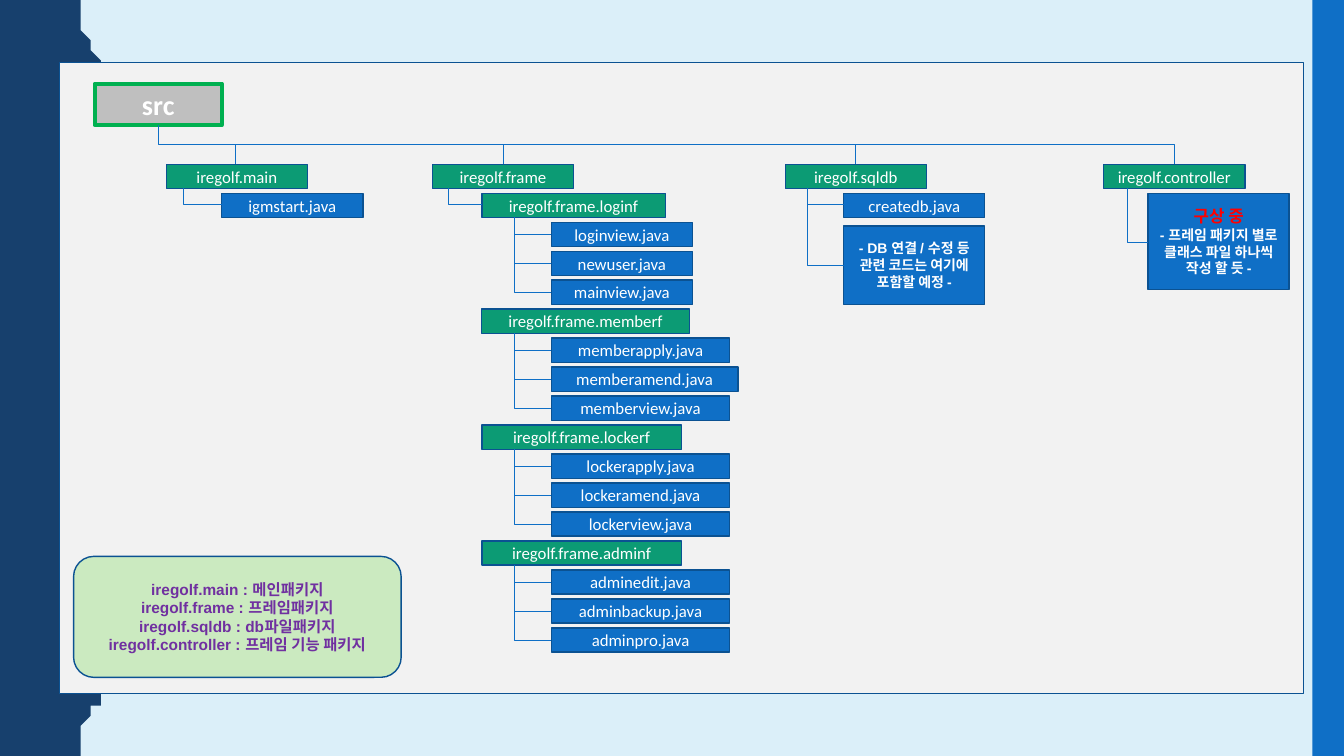
from lxml.etree import SubElement
from pptx import Presentation
from pptx.dml.color import RGBColor as Rgb
from pptx.enum.shapes import MSO_CONNECTOR as Link, MSO_SHAPE as Form
from pptx.enum.text import MSO_ANCHOR as Anchor, PP_ALIGN as Align
from pptx.oxml.ns import qn
from pptx.util import Inches, Pt

INK = {
    "sky": "DBEFF9", "navy": "17406D", "blue": "0F6FC6", "edge": "0B5292",
    "panel": "F2F2F2", "green": "0C9B74", "grey": "BFBFBF", "lime": "00B050",
    "mint": "CBEAC0", "plum": "7030A0", "red": "FF0000", "white": "FFFFFF",
}
COLS, ROWS = 133.33, 75
CELL = Inches(0.1)
TOP, STEP, HIGH = 16.3, 46 / 16, 2.4


def ink(name):
    return Rgb.from_string(INK[name])


def grid(*cells):
    return [round(n * CELL) for n in cells]


def level(row):
    return TOP + row * STEP


class Board:
    def __init__(self, deck):
        self.slide = deck.slides.add_slide(deck.slide_layouts[6])
        self.shapes = self.slide.shapes
        back = self.slide.background.fill
        back.solid()
        back.fore_color.rgb = ink("sky")

    def paint(self, shape, fill, edge, width=1):
        shape.shadow.inherit = False
        shape.fill.solid()
        shape.fill.fore_color.rgb = ink(fill)
        if edge:
            shape.line.color.rgb = ink(edge)
            shape.line.width = Pt(width)
        else:
            shape.line.fill.background()

    def box(self, area, fill, edge="edge", width=1, form=Form.RECTANGLE):
        shape = self.shapes.add_shape(form, *grid(*area))
        self.paint(shape, fill, edge, width)
        return shape

    def label(self, shape, lines, size, color="white", bold=True, font="Arial"):
        frame = shape.text_frame
        frame.word_wrap = True
        frame.vertical_anchor = Anchor.MIDDLE
        for i, text in enumerate(lines):
            para = frame.add_paragraph() if i else frame.paragraphs[0]
            para.text = text
            para.alignment = Align.CENTER
            self.style(para, size, color, bold, font)

    def style(self, para, size, color, bold, font):
        para.font.size = Pt(size)
        para.font.bold = bold
        para.font.name = font
        para.font.color.rgb = ink(color)

    def node(self, text, left, row, wide=14, fill="blue"):
        shape = self.box((left, level(row), wide, HIGH), fill)
        self.label(shape, [text], 12, bold=False, font="Calibri")

    def line(self, x, y, to_x, to_y, kind=Link.STRAIGHT):
        wire = self.shapes.add_connector(kind, *grid(x, y, to_x, to_y))
        wire.line.color.rgb = ink("blue")
        wire.line.width = Pt(0.5)
        SubElement(wire.element.spPr, qn("a:effectLst"))
        return wire

    def elbow(self, x, y, to_x, to_y, bends=1):
        mid_x, mid_y = (x + to_x) / 2, (y + to_y) / 2
        half_x, half_y = (to_x - x) / 2, (to_y - y) / 2
        wire = self.line(mid_x + half_y, mid_y - half_x,
                         mid_x - half_y, mid_y + half_x, Link.ELBOW)
        form = wire.element.spPr
        form.find(qn("a:xfrm")).set("rot", "16200000")
        form.find(qn("a:prstGeom")).set("prst", f"bentConnector{bends + 1}")

    def wave(self, fill):
        rise = [(7.8, 0), (7.8, 0.7), (7.9, 1.4), (8, 2), (8.1, 2.5),
                (8.3, 2.9), (8.5, 3.3), (8.7, 3.8), (8.9, 4.2), (9.1, 4.6),
                (9.3, 5), (9.5, 5.5), (9.6, 6.1), (9.7, 6.8), (9.7, 7.5)]
        turn = rise + [(x, 15 - y) for x, y in rise[-2::-1]]
        edge = [(x, y + 15 * n) for n in range(5) for x, y in turn]
        pen = self.shapes.build_freeform(0, 0, scale=CELL)
        pen.add_line_segments(edge + [(0, ROWS)], close=True)
        self.paint(pen.convert_to_shape(), fill, None)

    def pack(self, name, row, wide, files):
        self.node(name, 47.8, row, wide, "green")
        for n, (text, span) in enumerate(files, 1):
            self.node(text, 54.7, row + n, span)
            y = level(row + n) + HIGH / 2
            if n < len(files):
                self.line(54.7, y, 51, y)
        self.elbow(51, level(row) + HIGH, 54.7, y)


def main():
    deck = Presentation()
    deck.slide_width, deck.slide_height = grid(COLS, ROWS)
    board = Board(deck)
    board.wave("navy")
    board.box((130.2, 0, 3.13, ROWS), "blue", None)
    board.box((5.9, 6.2, 123.4, 62.6), "panel")

    root = board.box((9.4, 8.3, 12.6, 4.1), "grey", "lime", 3)
    board.label(root, ["src"], 20, font="Calibri")
    board.elbow(15.7, 12.4, 116.5, TOP, 2)
    for x in (23.4, 49.9, 84.9):
        board.line(x, TOP, x, 14.35)

    for name, left in (("main", 16.5), ("frame", 42.9),
                       ("sqldb", 77.9), ("controller", 109.5)):
        board.node(f"iregolf.{name}", left, 0, fill="green")
    board.node("igmstart.java", 22, 1)
    board.node("createdb.java", 83.7, 1)

    packs = [
        ("loginf", 18.2, [("loginview", 14), ("newuser", 14), ("mainview", 14)]),
        ("memberf", 20.6, [("memberapply", 17.7), ("memberamend", 18.5),
                           ("memberview", 17.7)]),
        ("lockerf", 19.8, [("lockerapply", 17.7), ("lockeramend", 17.7),
                           ("lockerview", 17.7)]),
        ("adminf", 19.8, [("adminedit", 17.7), ("adminbackup", 17.7),
                          ("adminpro", 17.7)]),
    ]
    for n, (name, wide, files) in enumerate(packs):
        board.pack(f"iregolf.frame.{name}", 1 + 4 * n, wide,
                   [(f"{file}.java", span) for file, span in files])

    plan = board.box((83.7, 22.4, 14, 7.8), "blue")
    board.label(plan, ["- DB 연결 / 수정 등 관련 코드는 여기에 포함할 예정 -"], 10)
    idea = board.box((113.9, 19.2, 14, 9.5), "blue")
    board.label(idea, ["구상 중", "- 프레임 패키지 별로 클래스 파일 하나씩 작성 할 듯 -"], 10)
    board.style(idea.text_frame.paragraphs[0], 12, "red", True, "Arial")

    for x, to_x, y in ((18.2, 22, 20.3), (44.5, 47.8, 20.3),
                       (80.1, 83.7, 26.3), (111.8, 113.9, 24)):
        board.elbow(x, TOP + HIGH, to_x, y)
    board.line(83.7, 20.3, 80.1, 20.3)

    key = board.box((7.3, 55.2, 32.5, 12), "mint", form=Form.ROUNDED_RECTANGLE)
    board.label(key, ["iregolf.main : 메인패키지", "iregolf.frame : 프레임패키지",
                      "iregolf.sqldb : db파일패키지",
                      "iregolf.controller : 프레임 기능 패키지"], 11, "plum")
    deck.save("out.pptx")


if __name__ == "__main__":
    main()
